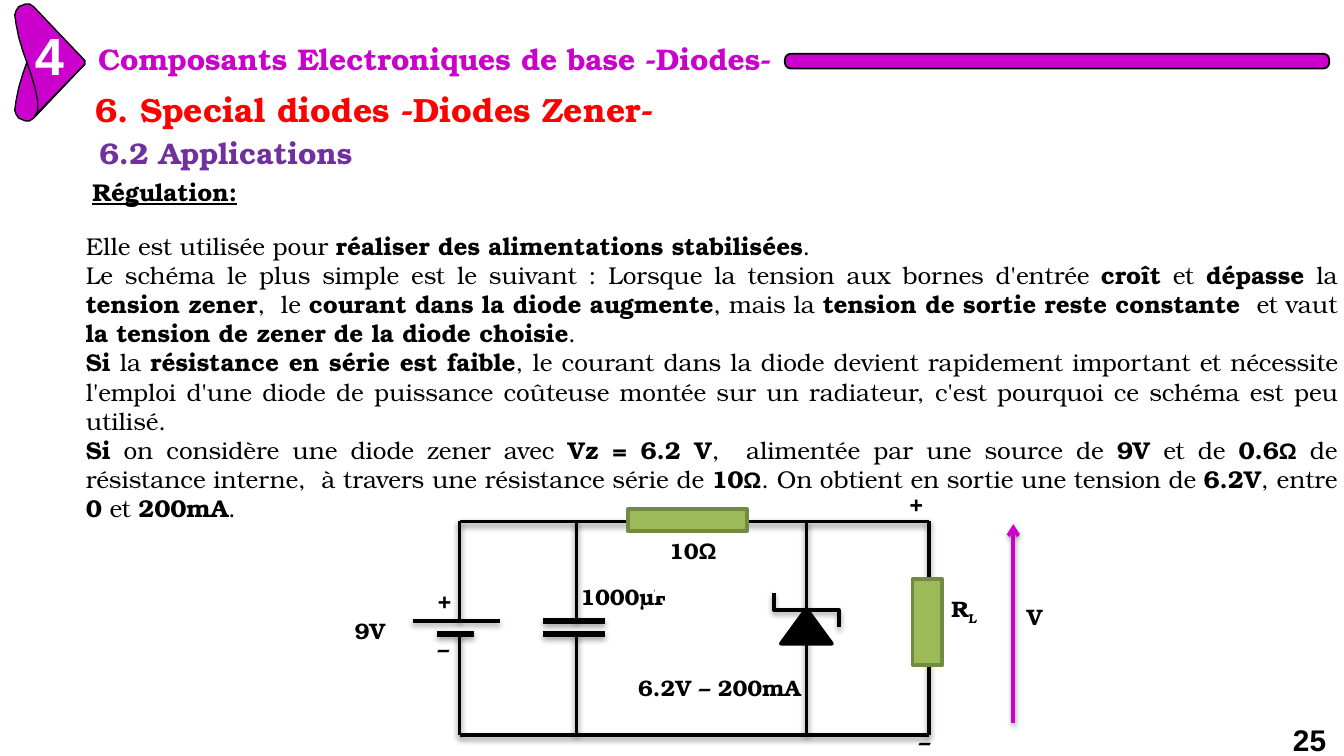
from itertools import groupby
from lxml import etree
from pptx import Presentation
from pptx.dml.color import RGBColor
from pptx.enum import shapes as es, text as et
from pptx.oxml import ns
from pptx.util import Inches, Pt

SERIF, SANS = "TeX Gyre Bonum", "Arial"
BLACK, WHITE, PINK = "000000", "FFFFFF", "CC00CC"
GREEN, OLIVE = "9BBB59", "738A42"

# Content: ** switches bold on and off
TITLE = "Composants Electroniques de base -Diodes-"
BODY = [
    "Elle est utilisée pour **réaliser des alimentations stabilisées**.",
    "Le schéma le plus simple est le suivant : Lorsque la tension aux bornes "
    "d'entrée **croît** et **dépasse** la **tension zener**,  le **courant dans "
    "la diode augmente**, mais la **tension de sortie reste constante  **et vaut "
    "**la tension de zener de la diode choisie**.",
    "**Si** la **résistance en série est faible**, le courant dans la diode "
    "devient rapidement important et nécessite l'emploi d'une diode de puissance "
    "coûteuse montée sur un radiateur, c'est pourquoi ce schéma est peu utilisé.",
    "**Si** on considère une diode zener avec **Vz = 6.2 V**,  alimentée par une "
    "source de **9V** et de **0.6Ω** de résistance interne,  à travers une "
    "résistance série de **10Ω**. On obtient en sortie une tension de **6.2V**, "
    "entre **0** et **200mA**.",
]
HEADS = [  # text, box, size, colour
    ("**6. Special diodes -Diodes Zener-**", (0.61, 0.61, 7.06, 0.4), 18, "FF0000"),
    ("**6.2 Applications**", (0.64, 0.95, 5.02, 0.37), 16, "7030A0"),
]
LABELS = [  # text, subscript, box
    ("1000µF", "", (4.22, 4.29, 1.6, 0.48)),
    ("6.2V – 200mA", "", (4.65, 4.97, 2.19, 0.48)),
    ("–", "", (6.74, 5.37, 0.6, 0.48)),
    ("+", "", (6.67, 3.59, 0.6, 0.41)),
    ("R", "L", (6.98, 4.38, 0.87, 0.48)),
    ("10Ω", "", (4.88, 3.95, 1.27, 0.48)),
    ("9V", "", (2.54, 4.54, 0.63, 0.37)),
    ("–", "", (3.16, 4.68, 0.6, 0.48)),
    ("+", "", (3.16, 4.31, 0.6, 0.48)),
]

# Circuit levels and columns
TOP, HIGH, LOW, BASE = 3.88, 4.62, 4.72, 5.47
CELL, CAP, ZENER, LOAD = 3.42, 4.29, 6, 6.91
WIRES = [(CELL, TOP, LOAD, TOP), (CELL, BASE, LOAD, BASE)]
for x in (CELL, CAP):
    WIRES += [(x, TOP, x, HIGH), (x, LOW, x, BASE)]
WIRES += [(x, TOP, x, BASE) for x in (ZENER, LOAD)]
PLATES = [  # left, right, level, width
    (3.07, 3.72, HIGH, 2), (3.25, 3.53, LOW, 3),
    (4.04, 4.5, HIGH, 3), (4.04, 4.5, LOW, 3),
]
# Badge outline, in hundredths of an inch
LEAF = [
    (19, 3), (14, 5), (12, 8), (11, 11), (12, 18), (14, 28), (17, 38),
    (23, 55), (26, 65), (28, 75), (28, 83), (26, 86), (62, 49), (63, 48),
    (63, 45), (62, 44), (25, 5), (22, 3),
]

deck = Presentation()
deck.slide_width, deck.slide_height = Inches(10), Inches(10 * 9 / 16)
slide = deck.slides.add_slide(deck.slide_layouts[5])
pool = slide.shapes


def paint(fmt, hue):
    fmt.rgb = RGBColor.from_string(hue)


def write(shape, *paras, size=12, hue=BLACK, font=SERIF, align="LEFT",
          inset=(0.1, 0.05), wrap=True, line=False, sub="", lead=None):
    frame = shape.text_frame
    frame.word_wrap = wrap
    frame.auto_size = et.MSO_AUTO_SIZE.NONE
    frame.vertical_anchor = et.MSO_ANCHOR.TOP
    frame.margin_left = frame.margin_right = Inches(inset[0])
    frame.margin_top = frame.margin_bottom = Inches(inset[1])
    for i, para in enumerate(paras):
        p = frame.add_paragraph() if i else frame.paragraphs[0]
        p.alignment = et.PP_ALIGN[align]
        p.line_spacing = lead

        def add(words, bold, face, pts):
            run = p.add_run()
            run.text = words
            run.font.name, run.font.size = face, Pt(pts)
            run.font.bold, run.font.underline = bold, line
            paint(run.font.color, hue)
            return run

        for n, part in enumerate(para.split("**")):
            for ohm, chars in groupby(part, lambda c: c == "Ω"):
                add("".join(chars), n % 2 == 1, SANS if ohm else font,
                    12 if ohm else size)
        if sub:
            low = add(sub, True, font, size)
            low.font._element.set("baseline", "-25000")


def place(box):
    return [Inches(v) for v in box]


def note(box, *paras, **fmt):
    write(pool.add_textbox(*place(box)), *paras, **fmt)


def dress(shape, fill, edge, width):
    shape.shadow.inherit = False
    shape.fill.solid()
    paint(shape.fill.fore_color, fill)
    paint(shape.line.color, edge)
    shape.line.width = Pt(width)
    return shape


def block(kind, box, fill, edge, width):
    return dress(pool.add_shape(es.MSO_SHAPE[kind], *place(box)), fill, edge, width)


def wire(ends, width=2, hue=BLACK, kind="STRAIGHT", arrow=False):
    item = pool.add_connector(es.MSO_CONNECTOR[kind], *place(ends))
    paint(item.line.color, hue)
    item.line.width = Pt(width)
    props = item._element.spPr
    if arrow:
        etree.SubElement(item.line._get_or_add_ln(), ns.qn("a:tailEnd"), type="arrow")
    glow = etree.SubElement(etree.SubElement(props, ns.qn("a:effectLst")),
                            ns.qn("a:outerShdw"), blurRad=str(Pt(3.1)),
                            dist=str(Pt(1.6)), dir="5400000", rotWithShape="0")
    tone = etree.SubElement(glow, ns.qn("a:srgbClr"), val=BLACK)
    etree.SubElement(tone, ns.qn("a:alpha"), val="38000")
    return props


# Title, folded badge and bar
head = pool.title
head.left, head.top, head.width, head.height = place((0.73, 0.29, 5.45, 0.55))
write(head, f"**{TITLE}**", size=16, hue=PINK, inset=(0, 0.01))
for pts in ([(x, 93 - y) for x, y in LEAF], LEAF):
    pen = pool.build_freeform(*pts[0], scale=Inches(0.01))
    pen.add_line_segments(pts[1:], close=True)
    dress(pen.convert_to_shape(), PINK, BLACK, 0.75)
note((0.26, 0.16, 0.24, 0.49), "**4**", size=28, hue=WHITE, font=SANS, inset=(0, 0.01))
bar = block("ROUNDED_RECTANGLE", (5.84, 0.4, 4.05, 0.11), PINK, BLACK, 1)
bar.adjustments[0] = 0.4

# Headings and page number
for words, box, size, hue in HEADS:
    note(box, words, size=size, hue=hue)
note((0.59, 1.27, 1.36, 0.32), "**Régulation:**", size=13, line=True)
note((9.62, 5.3, 0.42, 0.3), "**25**", size=16, font=SANS, inset=(0, 0), lead=Pt(24.3))

# Circuit labels
for words, sub, box in LABELS:
    write(block("RECTANGLE", box, WHITE, WHITE, 0.75), f"**{words}**", sub=sub)

# Wires, plates and parts
for ends in WIRES:
    wire(ends)
for left, right, y, width in PLATES:
    wire((left, y, right, y), width)
for box in ((6.79, 4.31, 0.22, 0.64), (4.67, 3.79, 0.89, 0.16)):
    block("RECTANGLE", box, GREEN, OLIVE, 2)
block("ISOSCELES_TRIANGLE", (5.81, 4.53, 0.38, 0.26), BLACK, BLACK, 2)
bend = wire((5.87, 4.78, 6.13, 4.3), kind="ELBOW")
bend.find(ns.qn("a:xfrm")).set("rot", "16200000")

# Output voltage
wire((7.54, 5.38, 7.54, 3.9), hue=PINK, arrow=True)
note((7.54, 4.44, 0.32, 0.3), "**V**", wrap=False)

# Explanation
note((0.54, 1.67, 9.51, 2.29), *BODY, size=13, align="JUSTIFY")

deck.save("out.pptx")
